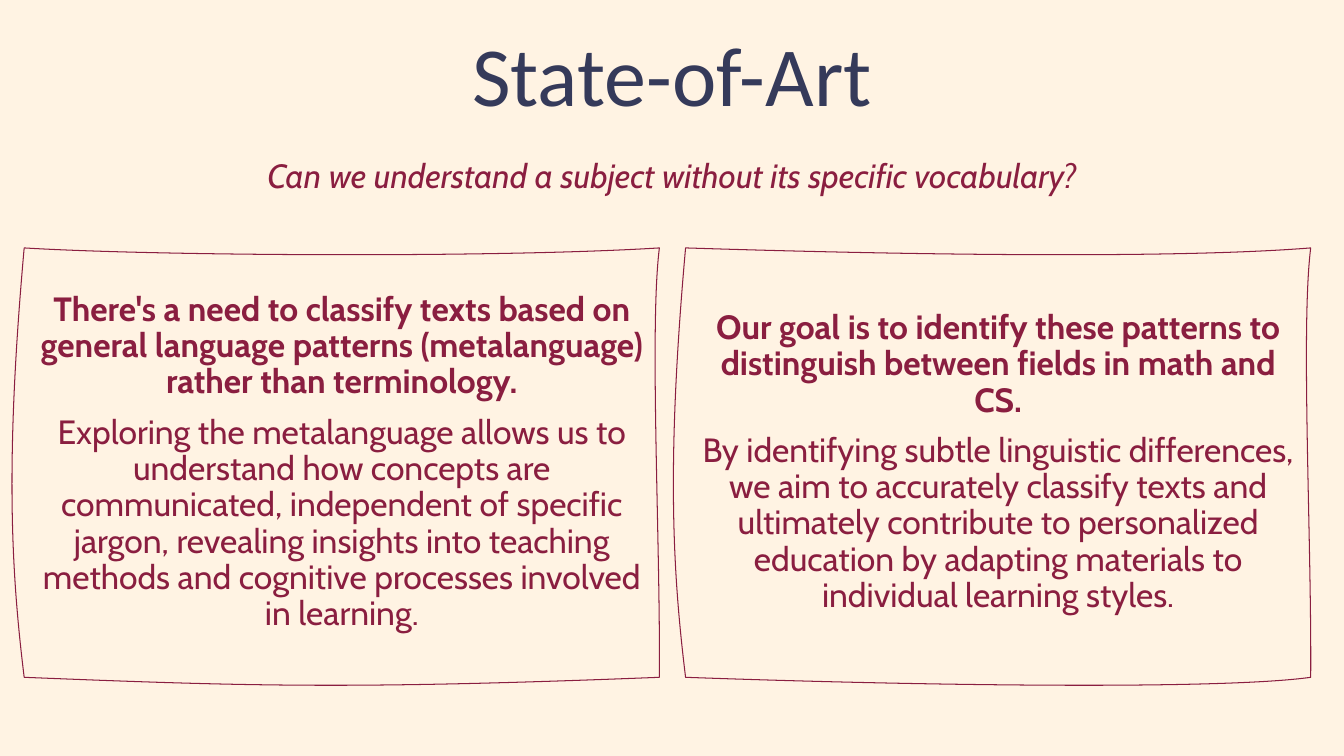
from lxml import etree
from pptx import Presentation
from pptx.dml.color import RGBColor
from pptx.enum.text import MSO_ANCHOR, PP_ALIGN
from pptx.oxml.ns import qn
from pptx.util import Inches, Pt

CENTER = PP_ALIGN.CENTER
MIDDLE = MSO_ANCHOR.MIDDLE
CREAM = RGBColor(0xFF, 0xF3, 0xE3)
NAVY = RGBColor(0x35, 0x3A, 0x5A)
BURGUNDY = RGBColor(0x8A, 0x1E, 0x40)


def write_text(shape, texts, size=24, font="Cabin", color=BURGUNDY,
               bold_first=False, italic=False):
    frame = shape.text_frame
    frame.word_wrap = True
    frame.vertical_anchor = MIDDLE
    for index, text in enumerate(texts):
        paragraph = frame.add_paragraph() if index else frame.paragraphs[0]
        paragraph.alignment = CENTER
        paragraph.line_spacing = 0.9
        paragraph.space_before = Pt(10 if index else 0)
        run = paragraph.add_run()
        run.text = text
        run.font.size = Pt(size)
        run.font.name = font
        run.font.color.rgb = color
        run.font.bold = bold_first and index == 0
        run.font.italic = italic


def bend_edges(shape, controls):
    """Turn each straight edge into a cubic curve with two control points."""
    edges = list(shape._element.iter(qn("a:lnTo")))
    for edge, control_pair in zip(edges, controls):
        curve = etree.Element(qn("a:cubicBezTo"))
        for x, y in control_pair:
            point = etree.SubElement(curve, qn("a:pt"))
            point.set("x", str(Inches(x) - shape.left))
            point.set("y", str(Inches(y) - shape.top))
        curve.append(edge[0])
        edge.getparent().replace(edge, curve)


presentation = Presentation()
presentation.slide_width = Inches(13.33)
presentation.slide_height = Inches(7.5)
slide = presentation.slides.add_slide(presentation.slide_layouts[6])
slide.background.fill.solid()
slide.background.fill.fore_color.rgb = CREAM

# Title and guiding question
title = slide.shapes.add_textbox(Inches(0), Inches(0), Inches(13.33), Inches(1.57))
write_text(title, ["State-of-Art"], size=60, font="Calibri", color=NAVY)
question = slide.shapes.add_textbox(Inches(0.78), Inches(1.22), Inches(11.77), Inches(1.08))
write_text(question, ["Can we understand a subject without its specific vocabulary?"],
           italic=True)

# Hand-drawn panels: left, right, x of the top and bottom edge controls, texts
panels = [
    (0.24, 6.54, (1.55, 4.93), (3.5, 2.47), [
        "There's a need to classify texts based on general language patterns "
        "(metalanguage) rather than terminology.",
        "Exploring the metalanguage allows us to understand how concepts are "
        "communicated, independent of specific jargon, revealing insights into "
        "teaching methods and cognitive processes involved in learning."]),
    (6.8, 13, (9.3, 11.76), (12.15, 9.3), [
        "Our goal is to identify these patterns to distinguish between fields "
        "in math and CS.",
        "By identifying subtle linguistic differences, we aim to accurately "
        "classify texts and ultimately contribute to personalized education by "
        "adapting materials to individual learning styles."]),
]
top, bottom = 2.46, 6.72

for left, right, top_controls, bottom_controls, texts in panels:
    corners = [(right, top), (right, bottom), (left, bottom), (left, top)]
    builder = slide.shapes.build_freeform(Inches(left), Inches(top))
    builder.add_line_segments([(Inches(x), Inches(y)) for x, y in corners], close=True)
    panel = builder.convert_to_shape()
    bend_edges(panel, [
        ((top_controls[0], 2.54), (top_controls[1], 2.56)),
        ((right - 0.1, 3.26), (right + 0.01, 5.35)),
        ((bottom_controls[0], 6.84), (bottom_controls[1], 6.81)),
        ((left - 0.13, 5.66), (left - 0.19, 4.58)),
    ])
    panel.shadow.inherit = False
    panel.fill.background()
    panel.line.color.rgb = BURGUNDY
    panel.line.width = Pt(0.75)
    write_text(panel, texts, bold_first=True)

presentation.save("out.pptx")
